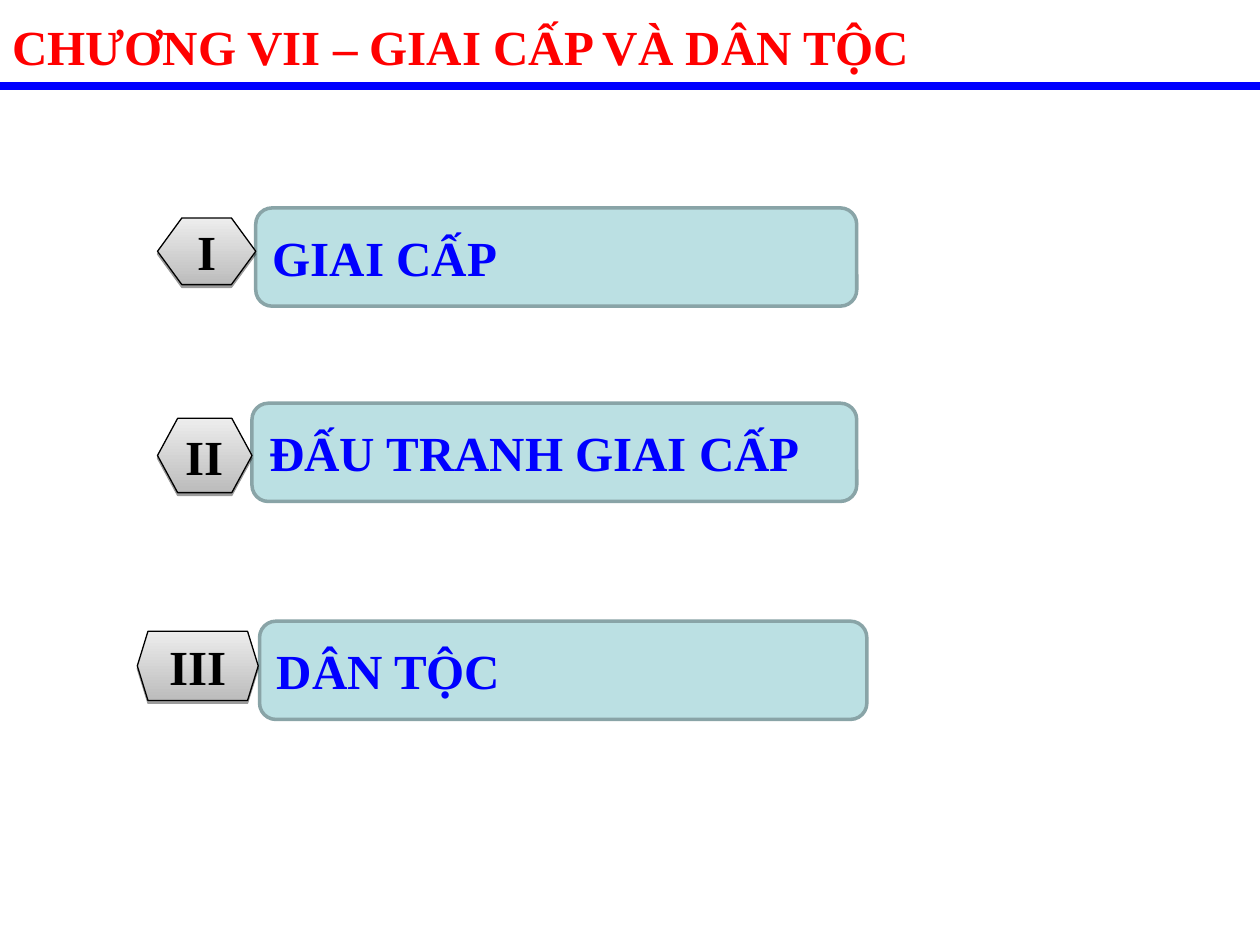
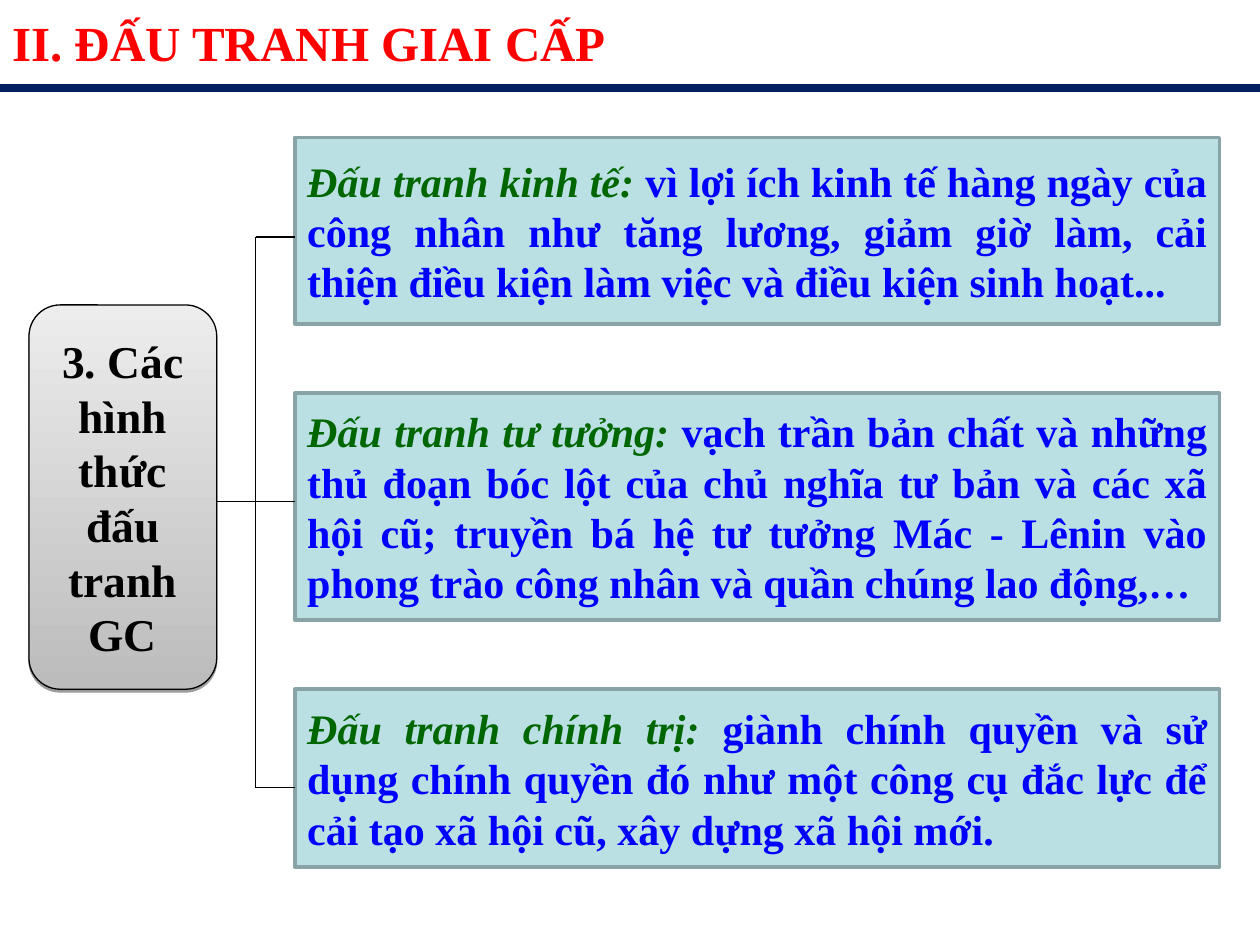
"""Build two slides on class and class struggle, laid out on a grid of 100 columns by 75 rows."""
import lxml.etree
import pptx
import pptx.dml.color
import pptx.enum.shapes
import pptx.enum.text
import pptx.oxml.ns
import pptx.util

deck = pptx.Presentation()
deck.slide_width = pptx.util.Inches(10)
deck.slide_height = pptx.util.Inches(7.5)
CELL = deck.slide_width / 100

hue = pptx.dml.color.RGBColor.from_string
qn = pptx.oxml.ns.qn
kinds = pptx.enum.shapes.MSO_SHAPE
sides = pptx.enum.text.PP_ALIGN
mid = pptx.enum.text.MSO_ANCHOR.MIDDLE

RED, BLUE, NAVY, GREEN, BLACK = "FF0000", "0000FF", "002060", "006600", "000000"
PALE, EDGE, DARK, LIGHT = "BBE0E3", "89A4A7", "BCBCBC", "EDEDED"
FONT = {"name": "Times New Roman", "bold": True}


def rule(page, start, end, tint, width):
    line = page.shapes.add_connector(
        pptx.enum.shapes.MSO_CONNECTOR.STRAIGHT, *[round(n * CELL) for n in start + end])
    line.line.color.rgb = hue(tint)
    line.line.width = pptx.util.Pt(width)
    lxml.etree.SubElement(line._element.spPr, qn("a:effectLst"))


def box(page, kind, place, runs, size, look=None, bend=None):
    left, top, wide, tall = [round(n * CELL) for n in place]
    if kind is None:
        shape = page.shapes.add_textbox(left, top, wide, tall)
    else:
        shape = page.shapes.add_shape(kind, left, top, wide, tall)
        shape.shadow.inherit = False
        shape.text_frame.vertical_anchor = mid
    if bend is not None:
        shape.adjustments[0] = bend
    if look == "card":
        shape.fill.solid()
        shape.fill.fore_color.rgb = hue(PALE)
        shape.line.color.rgb = hue(EDGE)
        shape.line.width = pptx.util.Pt(2)
    if look == "badge":
        shape.fill.gradient()
        shape.fill.gradient_angle = 90
        for stop, tint, spot in zip(shape.fill.gradient_stops, (DARK, LIGHT), (0, 1)):
            stop.color.rgb = hue(tint)
            stop.position = spot
        shape.line.color.rgb = hue(BLACK)
        shape.line.width = pptx.util.Pt(0.75)
        glow = lxml.etree.SubElement(
            shape._element.spPr.find(qn("a:effectLst")), qn("a:outerShdw"),
            blurRad="0", dist=str(pptx.util.Pt(1.6)), dir="5400000", rotWithShape="0")
        shade = lxml.etree.SubElement(glow, qn("a:srgbClr"), val=BLACK)
        lxml.etree.SubElement(shade, qn("a:alpha"), val="38000")
    shape.text_frame.word_wrap = True
    para = shape.text_frame.paragraphs[0]
    para.alignment = sides.CENTER if look == "badge" else sides.JUSTIFY
    for text, tint, slant in runs:
        run = para.add_run()
        run.text = text
        form = {**FONT, "size": pptx.util.Pt(size), "italic": slant}
        for key, value in form.items():
            setattr(run.font, key, value)
        run.font.color.rgb = hue(tint)


heads = [
    ("CHƯƠNG VII – GIAI CẤP VÀ DÂN TỘC", 0.8, 6.8, BLUE),
    ("II. ĐẤU TRANH GIAI CẤP", 0.5, 7, NAVY),
]
pages = []
for title, top, row, tint in heads:
    page = deck.slides.add_slide(deck.slide_layouts[6])
    rule(page, (0, row), (100, row), tint, 4.5)
    box(page, None, (0, top, 100, 5.7), [(title, RED, False)], 28)
    pages.append(page)
plan, forms = pages

parts = [
    ("I", "GIAI CẤP", (20.3, 16.5, 47.7, 7.8), (12.5, 17.3, 7.8, 5.3), 0.365),
    ("II", "ĐẤU TRANH GIAI CẤP", (20, 32, 48, 7.8), (12.5, 33.2, 7.5, 5.9), 0.271),
    ("III", "DÂN TỘC", (20.6, 49.3, 48.2, 7.8), (10.9, 50.1, 9.6, 5.5), 0.154),
]
for mark, name, bar, hex, bend in parts:
    box(plan, kinds.ROUNDED_RECTANGLE, bar, [(name, BLUE, False)], 28, "card")
    box(plan, kinds.HEXAGON, hex, [(mark, BLACK, False)], 28, "badge", bend)

fights = [
    ("Đấu tranh kinh tế: ", 14.8,
     "vì lợi ích kinh tế hàng ngày của công nhân như tăng lương, giảm giờ làm, "
     "cải thiện điều kiện làm việc và điều kiện sinh hoạt..."),
    ("Đấu tranh tư tưởng: ", 18,
     "vạch trần bản chất và những thủ đoạn bóc lột của chủ nghĩa tư bản và các xã hội cũ; "
     "truyền bá hệ tư tưởng Mác - Lênin vào phong trào công nhân và quần chúng lao động,…"),
    ("Đấu tranh chính trị: ", 14.1,
     "giành chính quyền và sử dụng chính quyền đó như một công cụ đắc lực để "
     "cải tạo xã hội cũ, xây dựng xã hội mới."),
]
EDGE_COL, GAP = 23.4, 5.5
top = 10.9
for name, tall, text in fights:
    box(forms, kinds.RECTANGLE, (EDGE_COL, top, 73.4, tall),
        [(name, GREEN, True), (text, BLUE, False)], 24, "card")
    top += tall + GAP

box(forms, kinds.ROUNDED_RECTANGLE, (2.3, 24.2, 14.9, 30.5),
    [("3. Các hình thức đấu tranh GC", BLACK, False)], 26, "badge")

SPINE, FIRST, STEM, LAST = 20.3, 18.8, 39.8, 62.5
rule(forms, (SPINE, FIRST), (SPINE, LAST), BLACK, 0.75)
for start, row in ((17.2, STEM), (SPINE, FIRST), (SPINE, LAST)):
    rule(forms, (start, row), (EDGE_COL, row), BLACK, 0.75)

deck.save("out.pptx")
